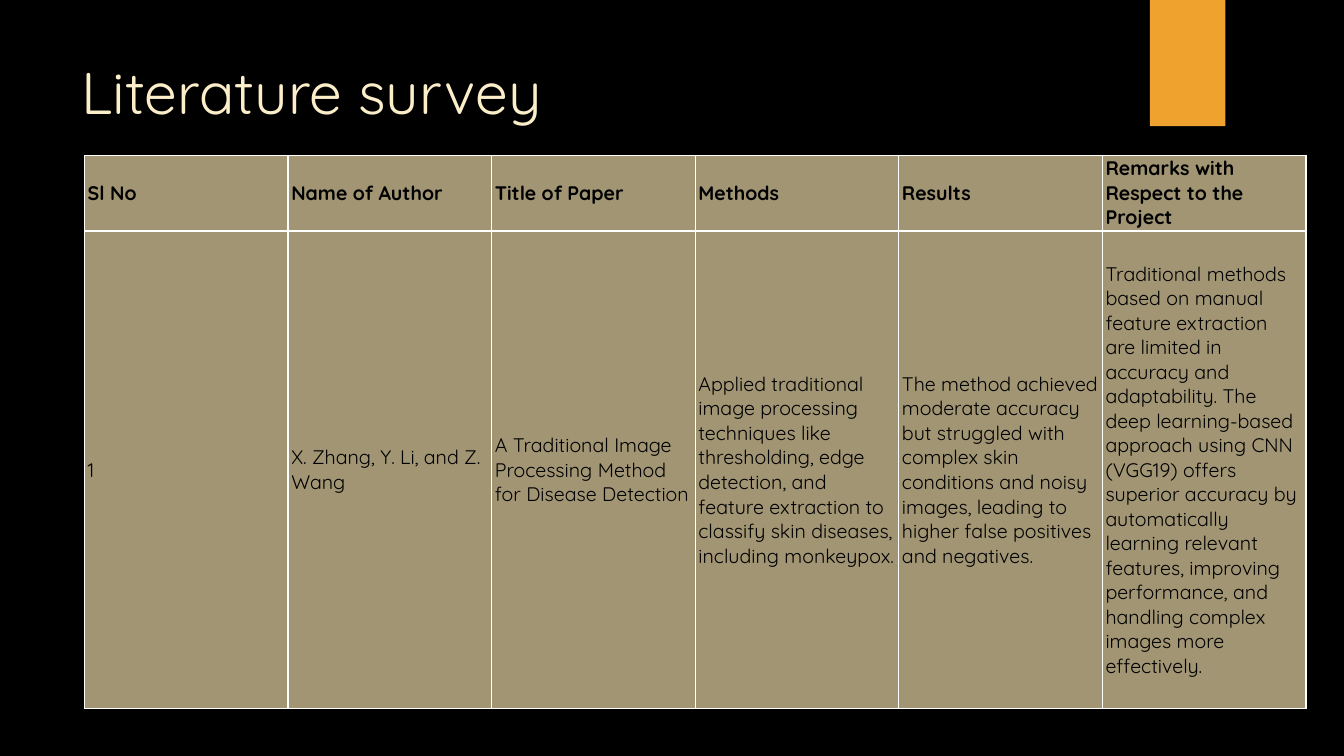
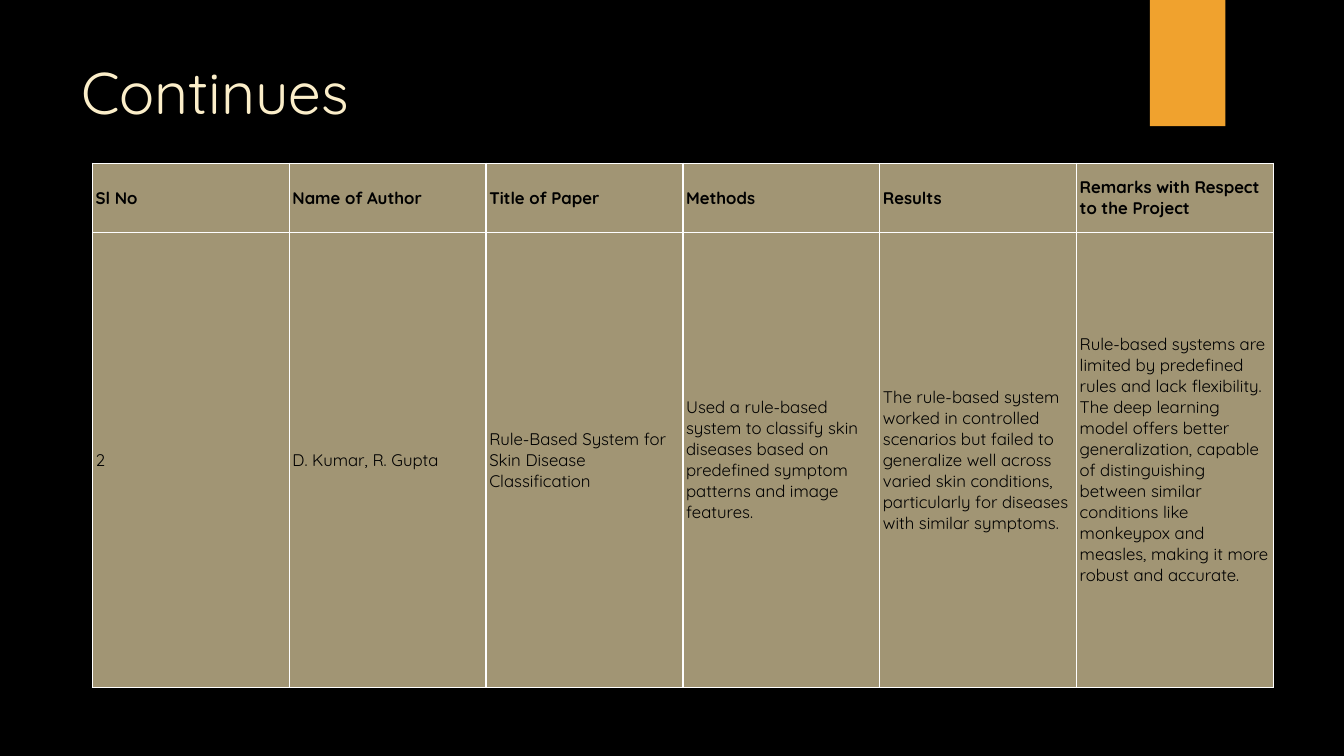
"""Builds two literature survey slides, each with a title and a table of one paper."""
from lxml import etree
from pptx import Presentation
from pptx.dml.color import RGBColor
from pptx.enum.shapes import MSO_SHAPE
from pptx.enum.text import MSO_ANCHOR
from pptx.oxml.ns import qn
from pptx.util import Cm, Pt

RECT = MSO_SHAPE.RECTANGLE
TOP, MIDDLE = MSO_ANCHOR.TOP, MSO_ANCHOR.MIDDLE
BLACK = RGBColor(0x00, 0x00, 0x00)
WHITE = RGBColor(0xFF, 0xFF, 0xFF)
ORANGE = RGBColor(0xF0, 0xA2, 0x2E)
CREAM = RGBColor(0xFB, 0xEE, 0xC9)
KHAKI = RGBColor(0xA1, 0x95, 0x74)

FONT = "Quicksand"
TITLE_SIZE = 42
TITLE_BOX = (1.8, 1.27, 26.14, 3.89)
TAB_BOX = (28.98, 0, 1.9, 3.18)
CELL_FORMAT = {
    "margin_left": Cm(0.08), "margin_right": Cm(0.08),
    "margin_top": Cm(0.02), "margin_bottom": Cm(0.02),
    "vertical_anchor": MIDDLE,
}

HEADER = ("Sl No", "Name of Author", "Title of Paper", "Methods", "Results",
          "Remarks with Respect to the Project")
SLIDES = [
    {
        "title": "Literature survey",
        "left": 2.13, "top": 3.91, "col_width": 5.13, "row_heights": (1.91, 12.04), "size": 14,
        "paper": (
            "1",
            "X. Zhang, Y. Li, and Z. Wang",
            "A Traditional Image Processing Method for Disease Detection",
            "Applied traditional image processing techniques like thresholding, edge detection, "
            "and feature extraction to classify skin diseases, including monkeypox.",
            "The method achieved moderate accuracy but struggled with complex skin conditions "
            "and noisy images, leading to higher false positives and negatives.",
            "Traditional methods based on manual feature extraction are limited in accuracy and "
            "adaptability. The deep learning-based approach using CNN (VGG19) offers superior "
            "accuracy by automatically learning relevant features, improving performance, and "
            "handling complex images more effectively.",
        ),
    },
    {
        "title": "Continues",
        "left": 2.33, "top": 4.11, "col_width": 4.96, "row_heights": (1.75, 11.46), "size": 12,
        "paper": (
            "2",
            "D. Kumar, R. Gupta",
            "Rule-Based System for Skin Disease Classification",
            "Used a rule-based system to classify skin diseases based on predefined symptom "
            "patterns and image features.",
            "The rule-based system worked in controlled scenarios but failed to generalize well "
            "across varied skin conditions, particularly for diseases with similar symptoms.",
            "Rule-based systems are limited by predefined rules and lack flexibility. The deep "
            "learning model offers better generalization, capable of distinguishing between "
            "similar conditions like monkeypox and measles, making it more robust and accurate.",
        ),
    },
]


def write(tf, text, size, color, bold=False):
    r = tf.paragraphs[0].add_run()
    r.text = text
    for name, value in {"name": FONT, "size": Pt(size), "bold": bold}.items():
        setattr(r.font, name, value)
    r.font.color.rgb = color


def add_borders(cell):
    tc_pr = cell._tc.get_or_add_tcPr()
    for side in ("lnL", "lnR", "lnT", "lnB"):
        ln = etree.SubElement(tc_pr, qn(f"a:{side}"), w=str(Pt(1)))
        fill = etree.SubElement(ln, qn("a:solidFill"))
        etree.SubElement(fill, qn("a:srgbClr"), val=str(WHITE))


def add_frame(s, title):
    tab = s.shapes.add_shape(RECT, *map(Cm, TAB_BOX))
    tab.shadow.inherit = False
    tab.fill.solid()
    tab.fill.fore_color.rgb = ORANGE
    tab.line.fill.background()
    tf = s.shapes.add_textbox(*map(Cm, TITLE_BOX)).text_frame
    tf.word_wrap = True
    tf.vertical_anchor = TOP
    write(tf, title, TITLE_SIZE, CREAM)


def add_survey(s, data):
    rows = (HEADER, data["paper"])
    box = (data["left"], data["top"], data["col_width"] * len(HEADER), sum(data["row_heights"]))
    table = s.shapes.add_table(len(rows), len(HEADER), *map(Cm, box)).table
    table.horz_banding = False
    for col in table.columns:
        col.width = Cm(data["col_width"])
    for i, (texts, height) in enumerate(zip(rows, data["row_heights"])):
        table.rows[i].height = Cm(height)
        for j, text in enumerate(texts):
            cell = table.cell(i, j)
            for name, value in CELL_FORMAT.items():
                setattr(cell, name, value)
            add_borders(cell)
            cell.fill.solid()
            cell.fill.fore_color.rgb = KHAKI
            write(cell.text_frame, text, data["size"], BLACK, bold=i == 0)


def main():
    prs = Presentation()
    prs.slide_width, prs.slide_height = Cm(33.87), Cm(19.05)
    background = prs.slide_master.background.fill
    background.solid()
    background.fore_color.rgb = BLACK
    for data in SLIDES:
        s = prs.slides.add_slide(prs.slide_layouts[6])
        add_frame(s, data["title"])
        add_survey(s, data)
    prs.save("out.pptx")


if __name__ == "__main__":
    main()
